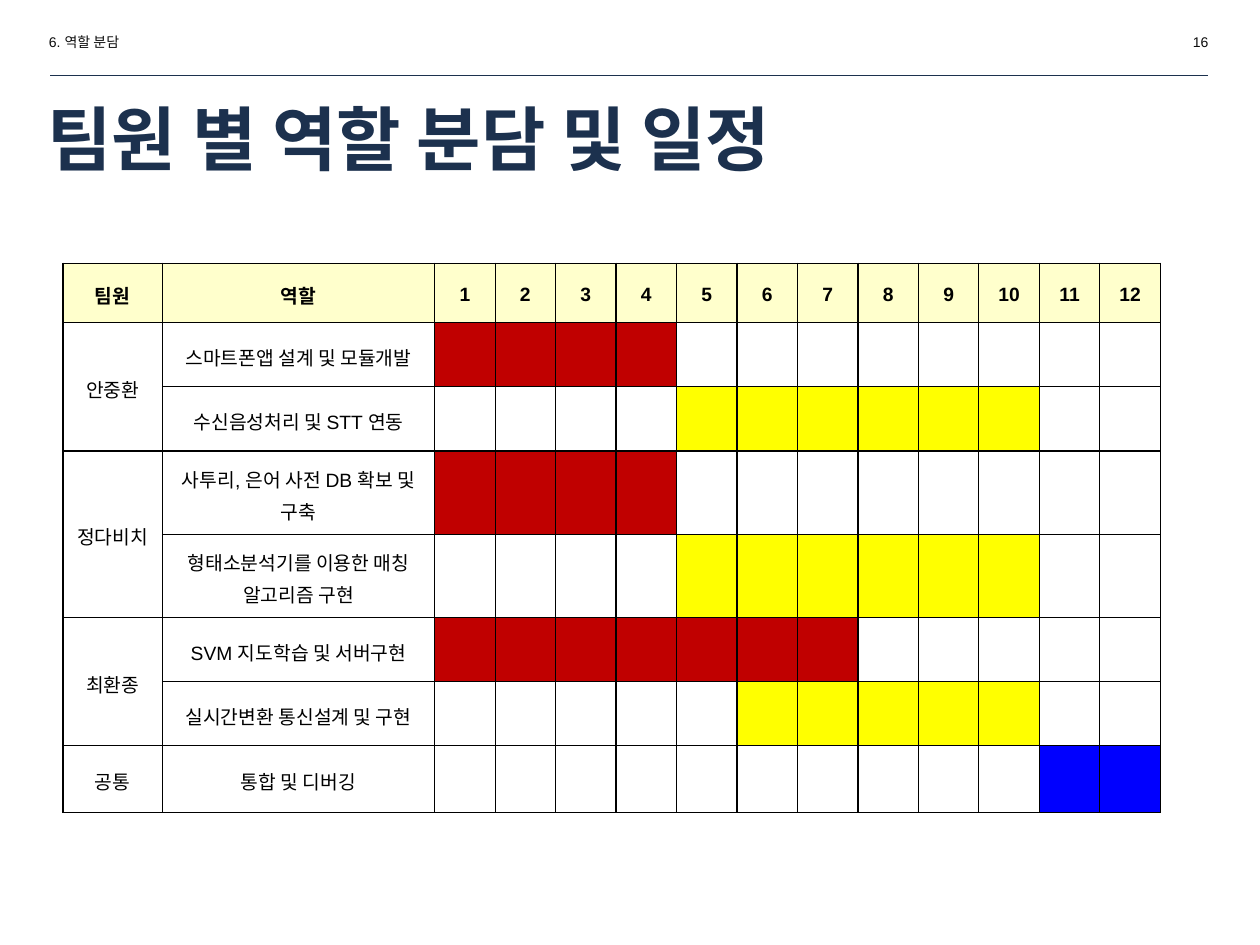
from lxml import etree
from pptx import Presentation
from pptx import util as u
from pptx.dml.color import RGBColor
from pptx.enum import shapes, text
from pptx.oxml.ns import qn

HUES = {
    "navy": "1C314E", "ink": "0C0C0C", "black": "000000", "cream": "FFFFCC",
    "red": "C00000", "yellow": "FFFF00", "blue": "0000FF",
}
MID = text.PP_ALIGN.CENTER


def write(frame, words, size=11, hue="black", bold=False, align=None, space=None):
    para = frame.paragraphs[0]
    para.alignment = align
    para.line_spacing = space
    run = para.add_run()
    run.text = words
    run.font.name = "Arial"
    run.font.size = u.Pt(size)
    run.font.bold = bold
    run.font.color.rgb = RGBColor.from_string(HUES[hue])


def edge(cell, side, width):
    """Draw one black border; call it in the order L, R, T, B, before the fill."""
    line = etree.SubElement(cell._tc.get_or_add_tcPr(), qn("a:ln" + side),
                            w=str(u.Pt(width)))
    fill = etree.SubElement(line, qn("a:solidFill"))
    etree.SubElement(fill, qn("a:srgbClr"), val=HUES["black"])


deck = Presentation()
deck.slide_width, deck.slide_height = u.Inches(10), u.Inches(7.5)
slide = deck.slides.add_slide(deck.slide_layouts[6])

# Header and title
for words, left, top, width, height, style in [
    ("6. 역할 분담", 0.29, 0.21, 1.73, 0.24, dict(size=8, hue="ink")),
    ("16", 7.96, 0.21, 1.73, 0.24,
     dict(size=8, hue="ink", align=text.PP_ALIGN.RIGHT)),
    ("팀원 별 역할 분담 및 일정", 0.28, 0.77, 7.65, 0.64,
     dict(size=40, hue="navy", bold=True)),
]:
    box = slide.shapes.add_textbox(*map(u.Inches, (left, top, width, height)))
    box.text_frame.word_wrap = True
    box.text_frame.vertical_anchor = text.MSO_ANCHOR.MIDDLE
    write(box.text_frame, words, **style)

rule = slide.shapes.add_connector(
    shapes.MSO_CONNECTOR.STRAIGHT, *map(u.Inches, (0.4, 0.6, 9.59, 0.6)))
rule.line.color.rgb = RGBColor.from_string(HUES["navy"])
rule.line.width = u.Pt(0.75)
etree.SubElement(rule._element.spPr, qn("a:effectLst"))

# Schedule: member, role, bar colour, first and last period
plan = [
    ("안중환", "스마트폰앱 설계 및 모듈개발", "red", 1, 4),
    ("", "수신음성처리 및 STT 연동", "yellow", 5, 10),
    ("정다비치", "사투리, 은어 사전 DB 확보 및 구축", "red", 1, 4),
    ("", "형태소분석기를 이용한 매칭 알고리즘 구현", "yellow", 5, 10),
    ("최환종", "SVM 지도학습 및 서버구현", "red", 1, 7),
    ("", "실시간변환 통신설계 및 구현", "yellow", 6, 10),
    ("공통", "통합 및 디버깅", "blue", 11, 12),
]
terms = range(1, 13)
grid = [["팀원", "역할", *map(str, terms)]]
grid += [[who, role] + [""] * len(terms) for who, role, *_ in plan]
wide = [0.79, 2.16] + [0.48] * len(terms)
# The two roles that wrap need taller rows
tall = [0.47, 0.51, 0.51, 0.66, 0.66, 0.51, 0.51, 0.53]

table = slide.shapes.add_table(
    len(tall), len(wide),
    *map(u.Inches, (0.5, 2.09, sum(wide), sum(tall)))).table
table.first_row = table.horz_banding = False
for col, width in zip(table.columns, wide):
    col.width = u.Inches(width)
for row, height in zip(table.rows, tall):
    row.height = u.Inches(height)

for r, line in enumerate(grid):
    for c, words in enumerate(line):
        cell = table.cell(r, c)
        cell.vertical_anchor = text.MSO_ANCHOR.MIDDLE
        cell.margin_left = cell.margin_right = u.Inches(0.07)
        cell.margin_top = cell.margin_bottom = u.Inches(0.07)
        for side, outer in [("L", c == 0), ("R", c == len(wide) - 1),
                            ("T", r == 0), ("B", r == len(tall) - 1)]:
            edge(cell, side, 1 if outer else 0.75)
        hue = None
        if r == 0:
            hue = "cream"
        else:
            bar, first, last = plan[r - 1][2:]
            if first <= c - 1 <= last:
                hue = bar
        if hue:
            cell.fill.solid()
            cell.fill.fore_color.rgb = RGBColor.from_string(HUES[hue])
        else:
            cell.fill.background()
        if words:
            write(cell.text_frame, words, bold=r == 0, align=MID, space=1.15)

for r in (1, 3, 5):
    table.cell(r, 0).merge(table.cell(r + 1, 0))

deck.save("out.pptx")
